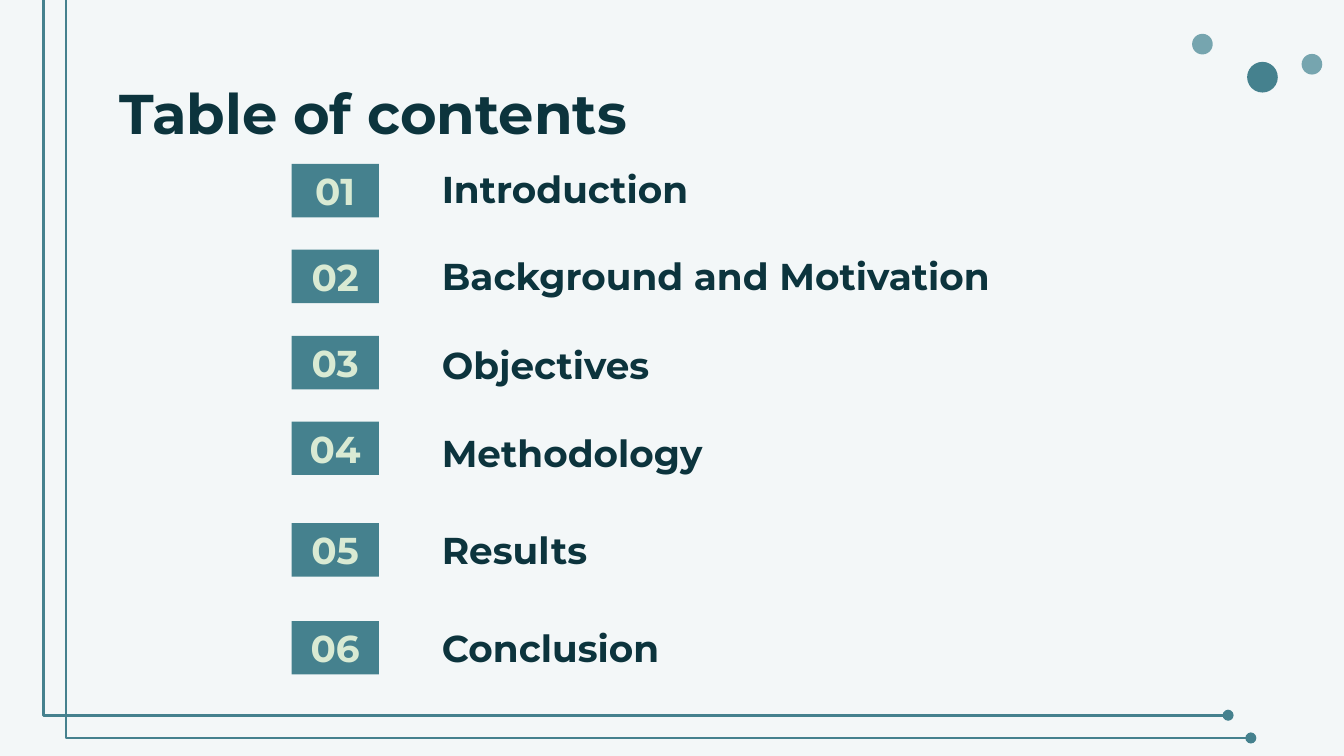
"""Build a table of contents slide with six numbered sections."""
import lxml.etree
import pptx
import pptx.dml.color
import pptx.enum.shapes
import pptx.enum.text
import pptx.oxml.ns
import pptx.util

Cm = pptx.util.Cm
RGBColor = pptx.dml.color.RGBColor
Shape = pptx.enum.shapes.MSO_SHAPE
Anchor = pptx.enum.text.MSO_ANCHOR
Align = pptx.enum.text.PP_ALIGN
qn = pptx.oxml.ns.qn

BACKGROUND = RGBColor(0xF3, 0xF7, 0xF8)
TEAL = RGBColor(0x45, 0x81, 0x8E)
LIGHT_TEAL = RGBColor(0x76, 0xA5, 0xAF)
DARK = RGBColor(0x0C, 0x34, 0x3D)
PALE_GREEN = RGBColor(0xD9, 0xEA, 0xD3)


def add_filled(kind, left, top, width, height, color):
    shape = page.shapes.add_shape(kind, Cm(left), Cm(top), Cm(width), Cm(height))
    shape.shadow.inherit = False
    shape.fill.solid()
    shape.fill.fore_color.rgb = color
    shape.line.fill.background()
    return shape


def write(box, text, size, color, anchor, align, spacing):
    frame = box.text_frame
    frame.text = text
    frame.word_wrap = True
    frame.vertical_anchor = anchor
    frame.margin_left = frame.margin_right = Cm(0.25)
    frame.margin_top = frame.margin_bottom = Cm(0.25)
    para = frame.paragraphs[0]
    para.alignment = align
    para.line_spacing = spacing
    font = para.runs[0].font
    font.name = "Montserrat"
    font.size = pptx.util.Pt(size)
    font.bold = True
    font.color.rgb = color


deck = pptx.Presentation()
deck.slide_width = Cm(25.4)
deck.slide_height = Cm(14.29)
page = deck.slides.add_slide(deck.slide_layouts[6])
page.background.fill.solid()
page.background.fill.fore_color.rgb = BACKGROUND

dots = [
    (23.57, 1.17, 0.58, TEAL),
    (22.53, 0.64, 0.39, LIGHT_TEAL),
    (24.6, 1.02, 0.39, LIGHT_TEAL),
]
for left, top, diameter, color in dots:
    add_filled(Shape.OVAL, left, top, diameter, diameter, color)

for shift in (0, 0.43):
    rail = page.shapes.add_connector(
        pptx.enum.shapes.MSO_CONNECTOR.ELBOW,
        Cm(1.04 + shift), Cm(-0.61 + shift), Cm(23.21 + shift), Cm(13.52 + shift),
    )
    rail.line.color.rgb = TEAL
    rail.line.width = pptx.util.Pt(1.5)
    properties = rail._element.spPr
    guides = properties.find(qn("a:prstGeom")).find(qn("a:avLst"))
    lxml.etree.SubElement(guides, qn("a:gd"), name="adj1", fmla="val -980")
    lxml.etree.SubElement(properties.find(qn("a:ln")), qn("a:tailEnd"), type="oval")
    lxml.etree.SubElement(properties, qn("a:effectLst"))

title = page.shapes.add_textbox(Cm(2), Cm(1.24), Cm(21.41), Cm(1.6))
write(title, "Table of contents", 30, DARK, Anchor.TOP, Align.LEFT, 1.0)

sections = [
    ("Introduction", 3.1, 3.22),
    ("Background and Motivation", 4.72, 4.88),
    ("Objectives", 6.35, 6.55),
    ("Methodology", 7.97, 8.22),
    ("Results", 9.89, 10.06),
    ("Conclusion", 11.74, 11.91),
]
for number, (name, box_top, label_top) in enumerate(sections, 1):
    box = add_filled(Shape.RECTANGLE, 5.51, box_top, 1.65, 1.01, TEAL)
    write(box, f"{number:02d}", 20, PALE_GREEN, Anchor.MIDDLE, Align.CENTER, 1.0)
    label = page.shapes.add_textbox(Cm(8.1), Cm(label_top), Cm(11.79), Cm(1.01))
    write(label, name, 20, DARK, Anchor.BOTTOM, Align.LEFT, 1.15)

deck.save("out.pptx")
